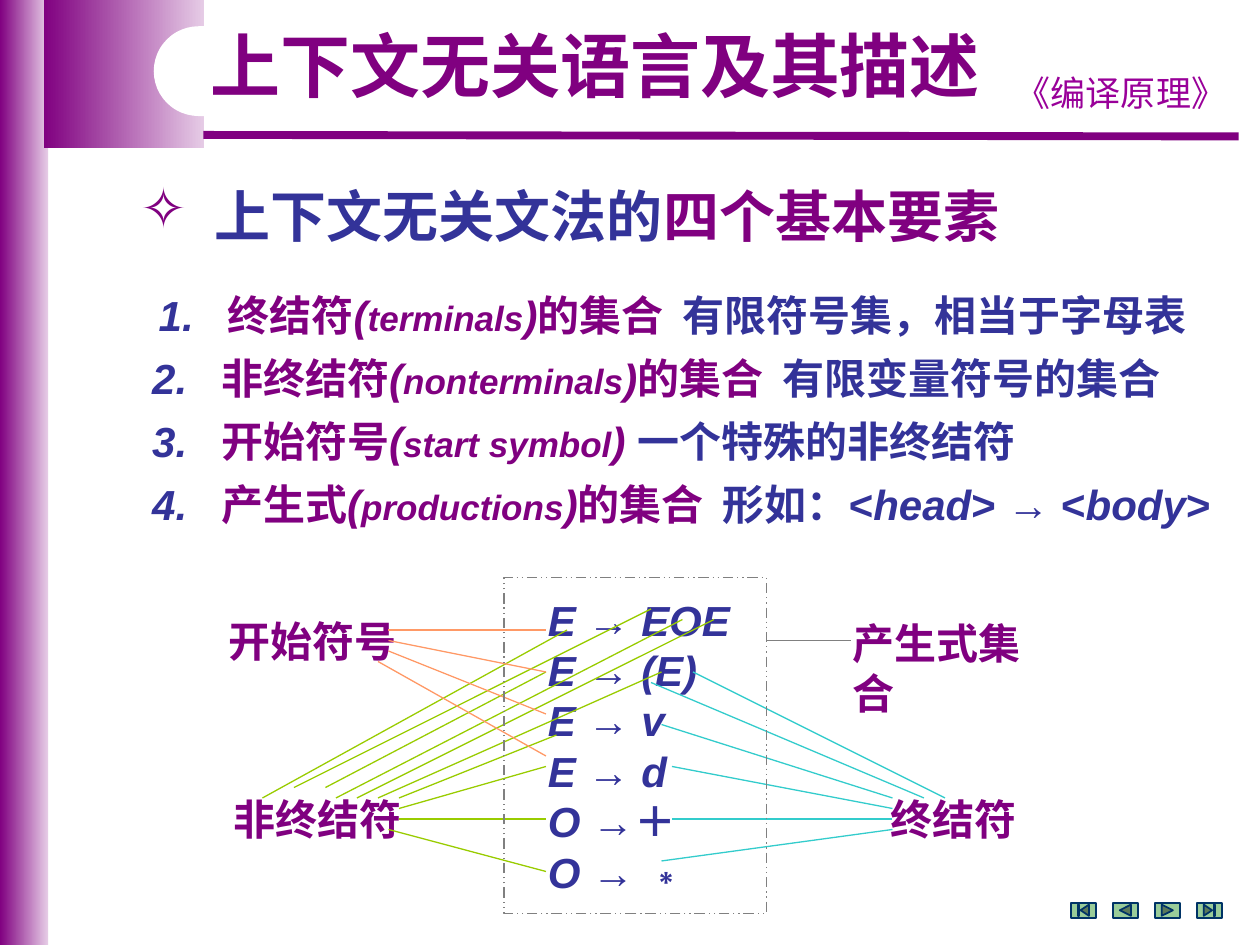
from dataclasses import dataclass

from lxml import etree
from pptx import Presentation
from pptx.dml.color import RGBColor
from pptx.enum.dml import MSO_LINE
from pptx.enum.shapes import MSO_CONNECTOR, MSO_SHAPE
from pptx.enum.text import PP_ALIGN
from pptx.oxml.ns import qn
from pptx.util import Cm, Pt

STRAIGHT = MSO_CONNECTOR.STRAIGHT
RECT, ROUND_RECT = MSO_SHAPE.RECTANGLE, MSO_SHAPE.ROUNDED_RECTANGLE
NAV_BUTTONS = (
    MSO_SHAPE.ACTION_BUTTON_BEGINNING,
    MSO_SHAPE.ACTION_BUTTON_BACK_OR_PREVIOUS,
    MSO_SHAPE.ACTION_BUTTON_FORWARD_OR_NEXT,
    MSO_SHAPE.ACTION_BUTTON_END,
)
DASH = MSO_LINE.DASH_DOT_DOT
CENTER = PP_ALIGN.CENTER
GRID = 2.54 / 12


@dataclass(frozen=True)
class Theme:
    purple: str = "800080"
    lilac: str = "E6CCE6"
    violet: str = "990099"
    navy: str = "333399"
    white: str = "FFFFFF"
    gray: str = "808080"
    orange: str = "FF9966"
    lime: str = "99CC00"
    teal: str = "33CCCC"
    button: str = "99CC99"
    button_line: str = "003366"
    latin: str = "Arial"
    cjk: str = "Noto Sans CJK SC"
    course: str = "Comic Neue"
    title: int = 40
    heading: int = 32
    body: int = 24
    small: int = 20


T = Theme()


def rgb(color):
    return RGBColor.from_string(color)


def add_run(p, text, color, size=T.body, bold=True, italic=False, font=T.latin):
    r = p.add_run()
    r.text = text
    f = r.font
    f.name, f.size, f.bold, f.italic = font, Pt(size), bold, italic
    f.color.rgb = rgb(color)
    ea = etree.SubElement(r._r.get_or_add_rPr(), qn("a:ea"))
    ea.set("typeface", T.cjk)


def add_text(s, x, y, w, h, wrap=True):
    tf = s.shapes.add_textbox(Cm(x), Cm(y), Cm(w), Cm(h)).text_frame
    tf.word_wrap = wrap
    return tf


def add_box(s, kind, x, y, w, h, fill=None, line=None, width=0.75):
    sp = s.shapes.add_shape(kind, Cm(x), Cm(y), Cm(w), Cm(h))
    sp.shadow.inherit = False
    if fill:
        sp.fill.solid()
        sp.fill.fore_color.rgb = rgb(fill)
    else:
        sp.fill.background()
    if line:
        sp.line.color.rgb = rgb(line)
        sp.line.width = Pt(width)
    else:
        sp.line.fill.background()
    return sp


def add_line(s, x1, y1, x2, y2, color, width=0.75):
    c = s.shapes.add_connector(STRAIGHT, Cm(x1), Cm(y1), Cm(x2), Cm(y2))
    c.line.color.rgb = rgb(color)
    c.line.width = Pt(width)
    etree.SubElement(c._element.spPr, qn("a:effectLst"))


def set_hanging(p, margin, indent):
    pPr = p._p.get_or_add_pPr()
    pPr.set("marL", str(Cm(margin)))
    pPr.set("indent", str(Cm(indent)))
    return pPr


def add_gradient_bar(s, x, y, w, h):
    sp = add_box(s, RECT, x, y, w, h)
    sp.fill.gradient()
    sp.fill.gradient_angle = 0
    for stop, color in zip(sp.fill.gradient_stops, (T.purple, T.lilac)):
        stop.color.rgb = rgb(color)


def draw_header(s, x, y, w, h):
    add_gradient_bar(s, x, y, 0.97, h)
    add_gradient_bar(s, x + 0.88, y, 3.24, 2.98)
    add_line(s, x + 4.1, y + 2.72, x + w - 0.43, y + 2.75, T.purple, 4.5)
    notch = add_box(s, ROUND_RECT, x + 3.1, y + 0.53, 9.2, 1.81, T.white)
    notch.adjustments[0] = 0.5
    p = add_text(s, x + 20.1, y + 1.32, 5, 1.11).paragraphs[0]
    p.alignment = CENTER
    add_run(p, "《编译原理》", T.violet, T.small, bold=False, font=T.course)
    p = add_text(s, x + 3.9, y + 0.53, 16.2, 1.78).paragraphs[0]
    p.alignment = CENTER
    p.line_spacing = 0.9
    add_run(p, "上下文无关语言及其描述", T.purple, T.title, font=T.cjk)


def draw_heading(s, x, y, w, h):
    p = add_text(s, x, y, w, h).paragraphs[0]
    pPr = set_hanging(p, 1.49, -1.49)
    bullet_color = etree.SubElement(pPr, qn("a:buClr"))
    etree.SubElement(bullet_color, qn("a:srgbClr")).set("val", T.purple)
    etree.SubElement(pPr, qn("a:buChar")).set("char", "✧")
    add_run(p, "上下文无关文法的", T.navy, T.heading, font=T.cjk)
    add_run(p, "四个基本要素", T.purple, T.heading, font=T.cjk)


def draw_elements(s, x, y, w, h):
    elements = (
        ("终结符", "terminals", ")", "的集合  ", (("有限符号集，相当于字母表", False),)),
        ("非终结符", "nonterminals", ")", "的集合  ", (("有限变量符号的集合", False),)),
        ("开始符号", "start symbol", ") ", "", (("一个特殊的非终结符", False),)),
        ("产生式", "productions", ")", "的集合  ",
         (("形如：<", False), ("head", True), ("> → <", False), ("body", True), (">", False))),
    )
    step = h / len(elements)
    for i, (name, english, close, suffix, notes) in enumerate(elements):
        left = x if i else x + 0.13
        p = add_text(s, left, y + i * step, w, step).paragraphs[0]
        set_hanging(p, 2.31, -1.39)
        add_run(p, f"{i + 1}.\t", T.navy, italic=True)
        add_run(p, name, T.purple)
        add_run(p, "(", T.purple, italic=True)
        add_run(p, english, T.purple, T.small, italic=True)
        add_run(p, close, T.purple, italic=True)
        if suffix:
            add_run(p, suffix, T.purple)
        for text, italic in notes:
            add_run(p, text, T.navy, italic=italic)


def draw_grammar(s, x, y):
    rules = (("E ", "→ ", "EOE"), ("E ", "→ ", "(E)"), ("E ", "→ ", "v"),
             ("E ", "→ ", "d"), ("O ", "→＋", ""), ("O ", "→ ∗", ""))
    tf = add_text(s, x + 31 * GRID, y + GRID, 21 * GRID, 30 * GRID)
    for i, (head, arrow, body) in enumerate(rules):
        p = tf.add_paragraph() if i else tf.paragraphs[0]
        add_run(p, head, T.navy, italic=True)
        add_run(p, arrow, T.navy)
        if body:
            add_run(p, body, T.navy, italic=True)

    labels = (("开始符号", 0.6, 3, 18.4), ("非终结符", 1.1, 20, 18.4),
              ("终结符", 63.6, 20, 14.4), ("产生式集合", 60, 3.2, 22.3))
    for text, col, row, width in labels:
        tf = add_text(s, x + col * GRID, y + row * GRID, width * GRID, 6 * GRID, wrap=False)
        add_run(tf.paragraphs[0], text, T.purple)

    links = {
        T.teal: ((70, 21, 46, 9), (68, 21, 42, 10), (65, 21, 43, 14),
                 (65, 22, 44, 18), (65, 23, 44, 23), (65, 24, 43, 27)),
        T.lime: ((34, 5, 5, 21), (32, 9, 11, 20), (33, 15, 18, 21), (32, 23, 18, 23),
                 (32, 18, 18, 22), (32, 28, 17, 24), (42, 3, 8, 20), (45, 4, 12, 21),
                 (48, 4, 14, 21), (43, 9, 16, 21)),
        T.orange: ((32, 5, 17, 5), (32, 9, 17, 6), (32, 13, 17, 7), (32, 17, 16, 8)),
        T.gray: ((53, 6, 61, 6),),
    }
    for color, ends in links.items():
        for x1, y1, x2, y2 in ends:
            add_line(s, x + x1 * GRID, y + y1 * GRID, x + x2 * GRID, y + y2 * GRID, color)
    frame = add_box(s, RECT, x + 28 * GRID, y, 25 * GRID, 32 * GRID, line=T.gray)
    frame.line.dash_style = DASH


def draw_navigation(s, x, y, w, h):
    for i, kind in enumerate(NAV_BUTTONS):
        add_box(s, kind, x + i * 4 * GRID, y, w, h, T.button, T.button_line, 1)


def main():
    prs = Presentation()
    prs.slide_width, prs.slide_height = Cm(25.4), Cm(19.05)
    s = prs.slides.add_slide(prs.slide_layouts[6])
    draw_header(s, 0, 0, 25.4, 19.05)
    draw_heading(s, 2.59, 3.53, 18.7, 1.63)
    draw_elements(s, 1.9, 5.71, 23.5, 5.08)
    draw_grammar(s, 20 * GRID, 55 * GRID)
    draw_navigation(s, 21.59, 18.2, 0.5, 0.3)
    prs.save("out.pptx")


if __name__ == "__main__":
    main()
